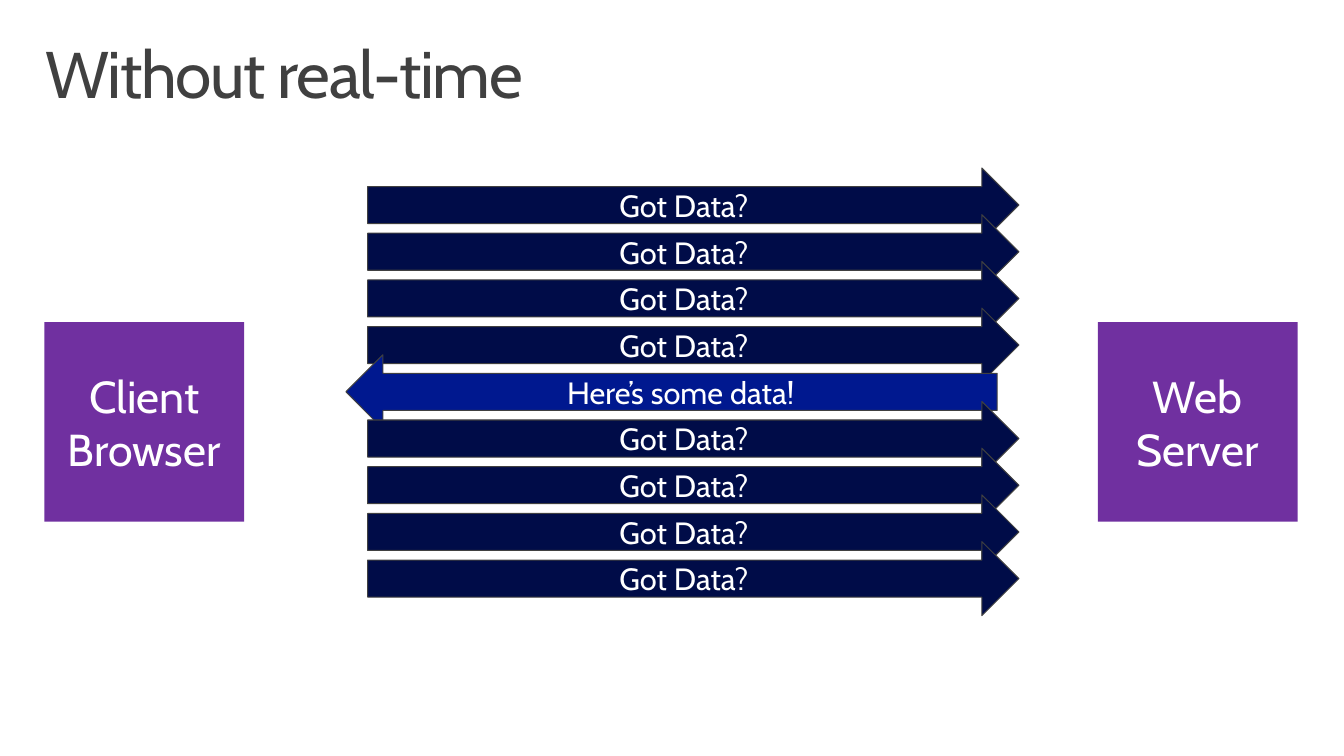
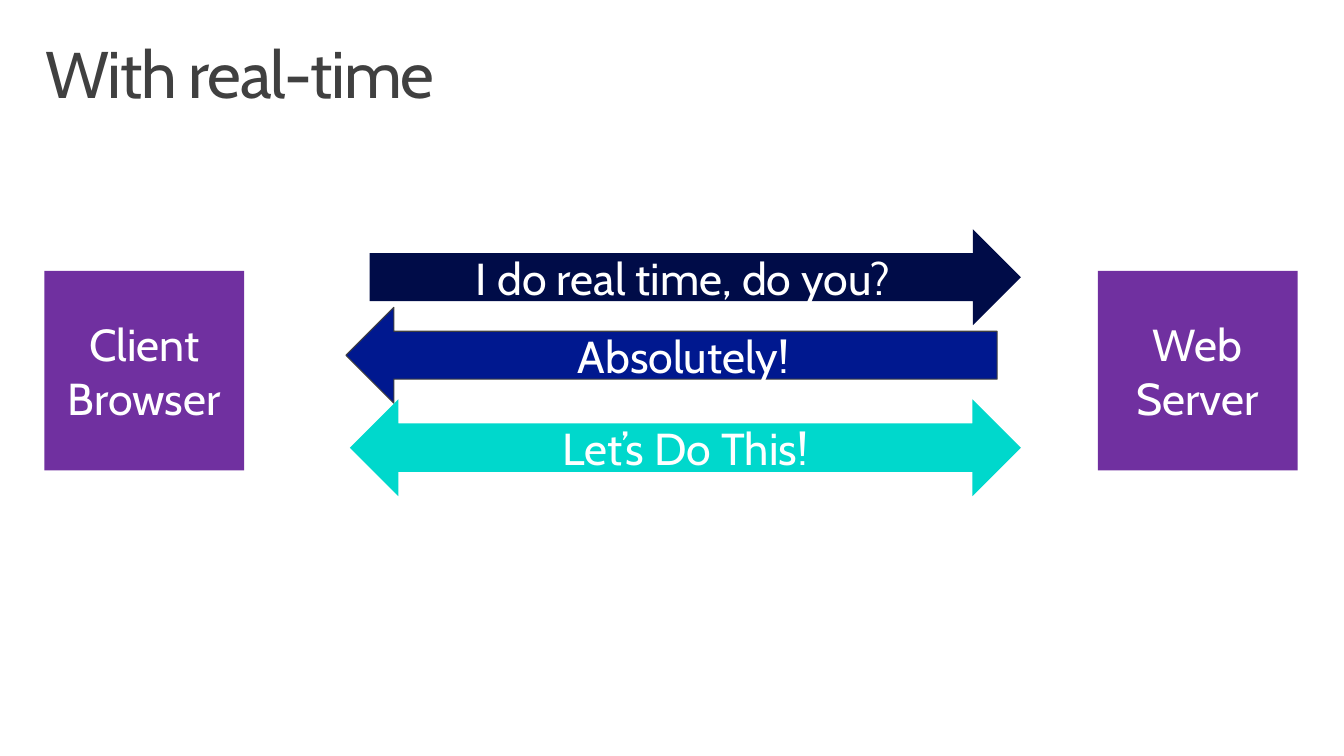
from dataclasses import dataclass
from typing import Optional

from pptx import Presentation, util as u
from pptx.dml.color import RGBColor
from pptx.enum import shapes, text

# Shared grid: square cells, 136 columns by 76.5 rows
CELL = u.Inches(0.1)
COLUMNS, ROWS = 136, 76.5

# Shared style
FONT = "Cabin"
GREY = RGBColor(0x40, 0x40, 0x40)
WHITE = RGBColor(0xFF, 0xFF, 0xFF)
PURPLE = RGBColor(0x70, 0x30, 0xA0)
NAVY = RGBColor(0x00, 0x0C, 0x48)
BLUE = RGBColor(0x00, 0x18, 0x8F)
TURQUOISE = RGBColor(0x00, 0xD8, 0xCC)
TITLE_SIZE, LARGE_SIZE, SMALL_SIZE = 48, 32.6, 22.4

Kind = shapes.MSO_SHAPE
BOX_SIDE = 20.2
CLIENT_COLUMN, SERVER_COLUMN = 4.5, 111.1
ARROW_WIDTH = 65.9
REPLY_COLUMN = 35


@dataclass
class Block:
    """A filled shape with a centred label, placed in grid cells."""
    label: str
    column: float
    row: float
    width: float
    height: float
    fill: RGBColor
    kind: Kind = Kind.RIGHT_ARROW
    size: float = LARGE_SIZE
    line: Optional[RGBColor] = None


def cells(count: float) -> u.Length:
    return u.Emu(round(count * CELL))


def style_paragraph(paragraph, size: float, color: RGBColor) -> None:
    paragraph.font.name = FONT
    paragraph.font.size = u.Pt(size)
    paragraph.font.color.rgb = color


def draw_block(slide, block: Block) -> None:
    shape = slide.shapes.add_shape(
        block.kind, cells(block.column), cells(block.row),
        cells(block.width), cells(block.height))
    shape.shadow.inherit = False
    shape.fill.solid()
    shape.fill.fore_color.rgb = block.fill
    if block.line is None:
        shape.line.fill.background()
    else:
        shape.line.color.rgb = block.line
        shape.line.width = u.Pt(0.75)
    frame = shape.text_frame
    frame.word_wrap = True
    frame.vertical_anchor = text.MSO_ANCHOR.MIDDLE
    paragraph = frame.paragraphs[0]
    paragraph.text = block.label
    paragraph.alignment = text.PP_ALIGN.CENTER
    style_paragraph(paragraph, block.size, WHITE)


def draw_title(slide, title: str) -> None:
    frame = slide.shapes.add_textbox(
        cells(3), cells(3.2), cells(130), cells(10)).text_frame
    frame.word_wrap = True
    frame.margin_left = frame.margin_right = u.Inches(0.16)
    frame.margin_top = frame.margin_bottom = u.Inches(0.1)
    paragraph = frame.paragraphs[0]
    paragraph.text = title
    paragraph.line_spacing = 0.9
    style_paragraph(paragraph, TITLE_SIZE, GREY)
    # Tighten the letters by one point
    paragraph.runs[0].font._element.set("spc", "-100")


def add_diagram(presentation, title: str, box_row: float,
                arrows: list[Block]) -> None:
    slide = presentation.slides.add_slide(presentation.slide_layouts[6])
    draw_title(slide, title)
    boxes = [
        Block(label, column, box_row, BOX_SIDE, BOX_SIDE, PURPLE, Kind.RECTANGLE)
        for label, column in (("Client Browser", CLIENT_COLUMN),
                              ("Web\vServer", SERVER_COLUMN))
    ]
    for block in boxes + arrows:
        draw_block(slide, block)


def polling_arrows() -> list[Block]:
    """Nine evenly spaced arrows; only the middle one is a reply."""
    count, first_row, last_row = 9, 17, 54.8
    pitch = (last_row - first_row) / (count - 1)
    arrows = []
    for index in range(count):
        row = first_row + index * pitch
        if index == count // 2:
            arrow = Block("Here’s some data!", REPLY_COLUMN, row, ARROW_WIDTH, 7.5,
                          BLUE, Kind.LEFT_ARROW, SMALL_SIZE, GREY)
        else:
            arrow = Block("Got Data?", 37.2, row, ARROW_WIDTH, 7.5,
                          NAVY, size=SMALL_SIZE, line=GREY)
        arrows.append(arrow)
    return arrows


def handshake_arrows() -> list[Block]:
    return [
        Block("I do real time, do you?", 37.4, 23.2, ARROW_WIDTH, 9.7, NAVY),
        Block("Absolutely!", REPLY_COLUMN, 31.1, ARROW_WIDTH, 9.7,
              BLUE, Kind.LEFT_ARROW, line=GREY),
        Block("Let’s Do This!", 35.4, 40.4, 67.9, 9.8,
              TURQUOISE, Kind.LEFT_RIGHT_ARROW),
    ]


def main() -> None:
    presentation = Presentation()
    presentation.slide_width = cells(COLUMNS)
    presentation.slide_height = cells(ROWS)
    add_diagram(presentation, "Without real-time", 32.6, polling_arrows())
    add_diagram(presentation, "With real-time", 27.4, handshake_arrows())
    presentation.save("out.pptx")


if __name__ == "__main__":
    main()
